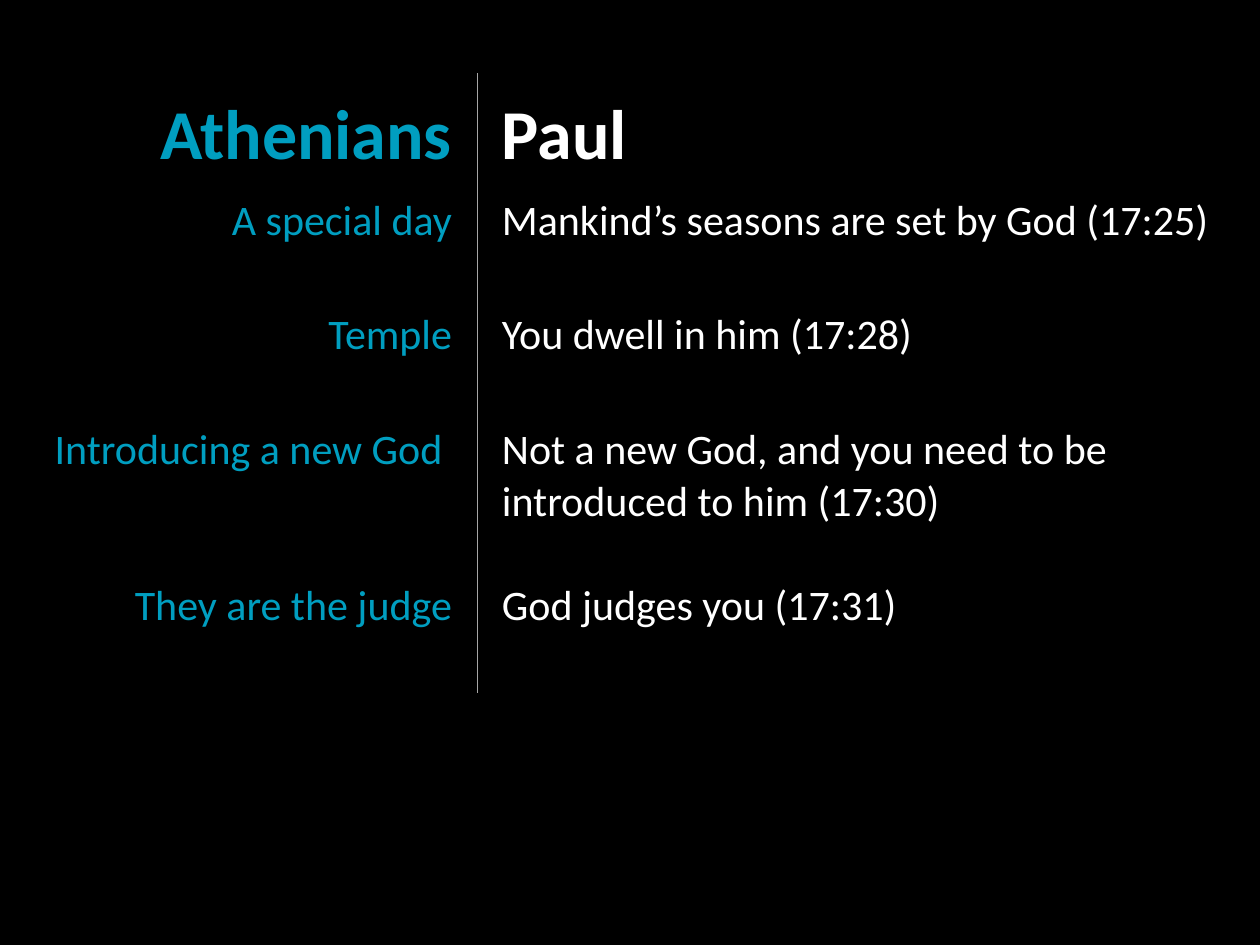
"""Build a two-column table slide contrasting the Athenians with Paul."""
from lxml import etree
from pptx import Presentation
from pptx.dml.color import RGBColor
from pptx.enum import text
from pptx.oxml.ns import qn
from pptx.util import Pt

PX = 914400 // 126
FONT = "Calibri"
BLACK = RGBColor(0x00, 0x00, 0x00)
WHITE = RGBColor(0xFF, 0xFF, 0xFF)
TEAL = RGBColor(0x00, 0x9E, 0xC0)
GRAY = RGBColor(0xA6, 0xA6, 0xA6)

ROWS = [
    ("Athenians", "Paul"),
    ("A special day", "Mankind’s seasons are set by God (17:25)"),
    ("Temple", "You dwell in him (17:28)"),
    ("Introducing a new God ",
     "Not a new God, and you need to be introduced to him (17:30)"),
    ("They are the judge", "God judges you (17:31)"),
]
ROW_HEIGHTS = [114, 114, 115, 156, 121]
COLUMNS = [
    {"width": 462, "color": TEAL, "align": text.PP_ALIGN.RIGHT, "divider": "lnR"},
    {"width": 766, "color": WHITE, "align": text.PP_ALIGN.LEFT, "divider": "lnL"},
]
LEFT, TOP = 15, 73
INSET_X, INSET_Y = 25, 9


def set_borders(cell, divider):
    """Draw the divider edge and clear the other three."""
    properties = cell._tc.get_or_add_tcPr()
    for index, edge in enumerate(("lnL", "lnR", "lnT", "lnB")):
        line = etree.Element(qn(f"a:{edge}"), w=str(Pt(0.25)))
        if edge == divider:
            fill = etree.SubElement(line, qn("a:solidFill"))
            etree.SubElement(fill, qn("a:srgbClr"), val=str(GRAY))
        else:
            etree.SubElement(line, qn("a:noFill"))
        properties.insert(index, line)


def fill_cell(cell, words, column, is_header):
    """Write and format one cell."""
    cell.margin_left = cell.margin_right = INSET_X * PX
    cell.margin_top = cell.margin_bottom = INSET_Y * PX
    cell.vertical_anchor = text.MSO_ANCHOR.BOTTOM if is_header else text.MSO_ANCHOR.TOP
    cell.fill.background()
    set_borders(cell, column["divider"])
    cell.text_frame.text = words
    paragraph = cell.text_frame.paragraphs[0]
    paragraph.alignment = column["align"]
    font = paragraph.runs[0].font
    font.name = FONT
    font.size = Pt(40 if is_header else 24)
    font.bold = is_header
    font.color.rgb = column["color"]


def main():
    """Create the presentation and save it."""
    presentation = Presentation()
    presentation.slide_width, presentation.slide_height = 1260 * PX, 945 * PX
    slide = presentation.slides.add_slide(presentation.slide_layouts[6])
    slide.background.fill.solid()
    slide.background.fill.fore_color.rgb = BLACK

    width = sum(column["width"] for column in COLUMNS)
    table = slide.shapes.add_table(
        len(ROWS), len(COLUMNS), LEFT * PX, TOP * PX,
        width * PX, sum(ROW_HEIGHTS) * PX).table
    table.first_row = table.horz_banding = False
    for index, column in enumerate(COLUMNS):
        table.columns[index].width = column["width"] * PX
    for row_index, (row, height) in enumerate(zip(ROWS, ROW_HEIGHTS)):
        table.rows[row_index].height = height * PX
        for column_index, (words, column) in enumerate(zip(row, COLUMNS)):
            fill_cell(table.cell(row_index, column_index), words, column, row_index == 0)
    presentation.save("out.pptx")


if __name__ == "__main__":
    main()
